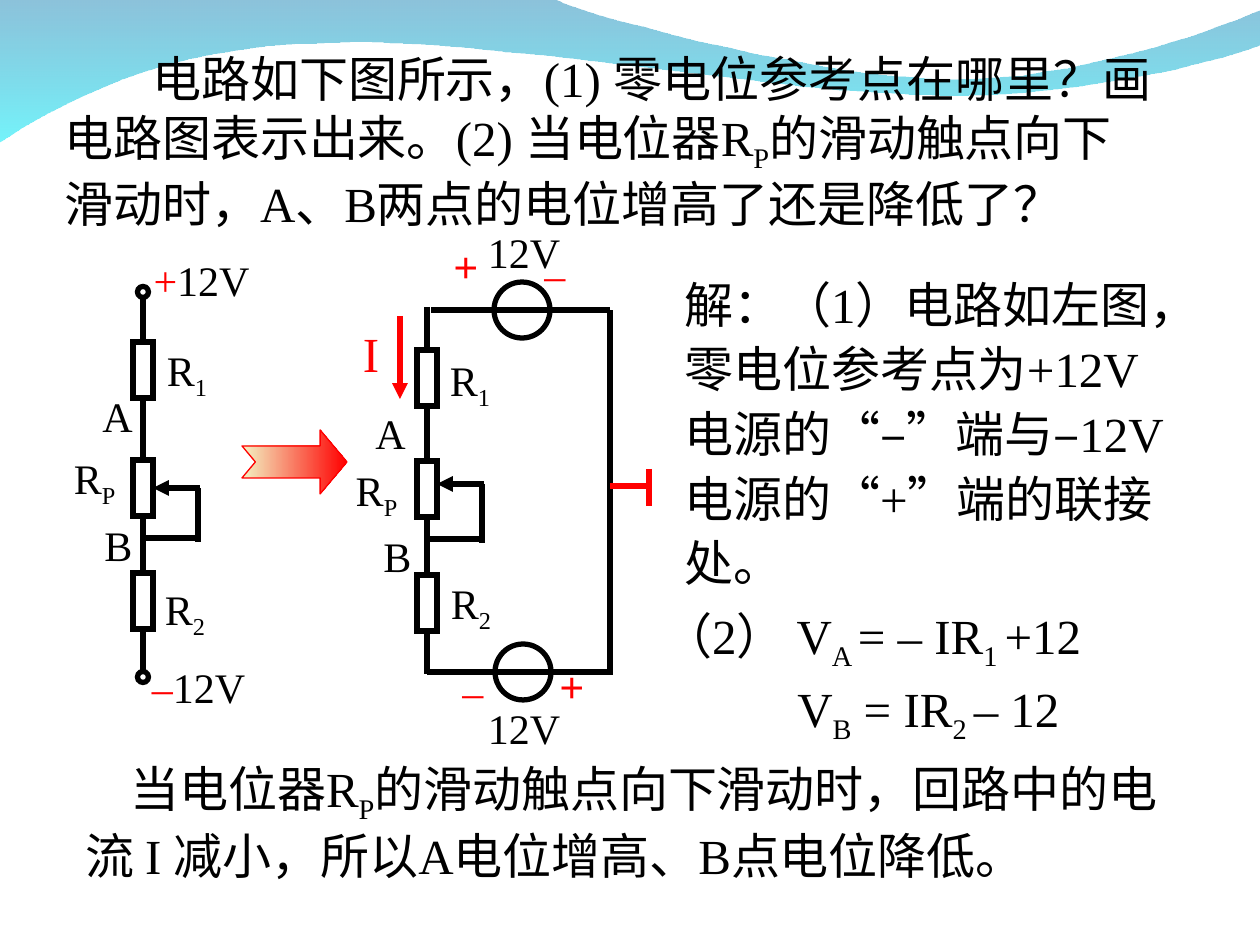
"""Build the slide on the potentiometer circuit and its zero-potential point."""
from lxml import etree
from pptx import Presentation
from pptx.dml.color import RGBColor
from pptx.enum.lang import MSO_LANGUAGE_ID
from pptx.enum.shapes import MSO_CONNECTOR, MSO_SHAPE
from pptx.enum.text import PP_ALIGN
from pptx.oxml.ns import qn
from pptx.util import Pt

PX = 914400 / 126
STRAIGHT = MSO_CONNECTOR.STRAIGHT
RECT, OVAL = MSO_SHAPE.RECTANGLE, MSO_SHAPE.OVAL
NOTCHED_ARROW = MSO_SHAPE.NOTCHED_RIGHT_ARROW
LEFT, CENTER = PP_ALIGN.LEFT, PP_ALIGN.CENTER
CHINESE = MSO_LANGUAGE_ID.SIMPLIFIED_CHINESE
SERIF, SANS = "Times New Roman", "Arial"
BLACK, RED = "000000", "FF0000"
TOP, BOTTOM, RIGHT = 0, 2, 3
SUB = "sub"

WAVE_START = (0, -1)
WAVE_UPPER = [(554, -1), (600, 21), (837, 79), (955, 79), (1075, 79), (1207, 33), (1260, 11)]
WAVE_LOWER = [(1261, 45), (1239, 55), (1096, 96), (940, 95), (784, 95), (481, 35), (325, 43),
              (163, 45), (58, 105), (-1, 142)]

# left, top, width, height, line spacing, points before, [(first-line indent, runs)]
PASSAGES = [
    (52, 42, 1113, 256, 1, 0, [
        (88, ["电路如下图所示，(1) 零电位参考点在哪里？画电路图表示出来。(2) 当电位器R", ("P", SUB),
              "的滑动触点向下滑动时，A、B两点的电位增高了还是降低了？"])]),
    (672, 262, 520, 336, 1.1, 0, [
        (0, ["解：（1）电路如左图，零电位参考点为+12V电源的“–”端与–12V电源的“+”端的联接处。"])]),
    (651, 599, 514, 152, 1, 3.5, [
        (0, ["（2） V", ("A ", SUB), "= – IR", ("1 ", SUB), "+12"]),
        (134, ["V", ("B", SUB), " = IR", ("2 ", SUB), "– 12"])]),
    (73, 752, 1134, 139, 1, 0, [
        (45, ["当电位器R", ("P", SUB), "的滑动触点向下滑动时，回路中的电流 I 减小，所以A电位增高、B点电位降低。"])]),
]

R1, R2, RP = (["R", (n, SUB)] for n in "12P")
PLUS, MINUS = [("+", RED)], [("–", RED)]
LABELS = [
    (["A"], 90, 384, 55), (["B"], 92, 513, 53), (RP, 61, 446, 67), (R1, 154, 338, 66), (R2, 152, 577, 66),
    (PLUS + ["12V"], 136, 248, 131), (MINUS + ["12V"], 133, 655, 131),
    (["A"], 363, 401, 55), (["B"], 371, 524, 53), (RP, 343, 458, 67), (R1, 437, 348, 66), (R2, 438, 571, 66),
    (["12V"], 420, 220, 208), (["12V"], 468, 696, 112),
    (MINUS, 532, 242, 46), (MINUS, 450, 659, 46),
]
SANS_LABELS = [(PLUS, 441, 234, 50), (PLUS, 547, 654, 50)]
CURRENT_LABEL = ([("I", RED)], 312, 317, 118)

CIRCUITS = [
    {"rail": 143, "ends": (296, 673), "resistors": (370, 488, 601), "wiper": 488, "foot": 538},
    {"rail": 427, "ends": (307, 674), "resistors": (378, 489, 603), "wiper": 484, "foot": 539},
]
RESISTOR_W, RESISTOR_H, WIPER_REACH = 20, 56, 55
CIRCLES = [(143, 292, 11), (143, 677, 11), (522, 310, 56), (523, 672, 56)]
LOOP = [((610, 310), (431, 310)), ((610, 673), (610, 310)), ((613, 672), (427, 672))]
GROUND = [((610, 486), (646, 486)), ((649, 469), (649, 506))]


def px(value):
    return round(value * PX)


def rgb(value):
    return RGBColor.from_string(value)


def gradient(shape, stops, angle):
    shape.shadow.inherit = False
    shape.fill.gradient()
    shape.fill.gradient_angle = angle
    for stop, (color, _) in zip(shape.fill.gradient_stops, stops):
        stop.color.rgb = rgb(color)
    for node, (_, alpha) in zip(shape.element.iter(qn("a:srgbClr")), stops):
        etree.SubElement(node, qn("a:alpha")).set("val", str(alpha * 1000))


def bezier(points, steps=16):
    curve = [points[0]]
    for i in range(0, len(points) - 1, 3):
        for t in (n / steps for n in range(1, steps + 1)):
            weights = ((1 - t) ** 3, 3 * t * (1 - t) ** 2, 3 * t * t * (1 - t), t ** 3)
            curve.append(tuple(sum(w * p[axis] for w, p in zip(weights, points[i:i + 4]))
                               for axis in (0, 1)))
    return curve


def write(paragraph, runs, size, font=SERIF):
    for item in runs:
        text, kind = item if isinstance(item, tuple) else (item, BLACK)
        run = paragraph.add_run()
        run.text = text
        run.font.size, run.font.name, run.font.language_id = Pt(size), font, CHINESE
        run.font.color.rgb = rgb(BLACK if kind == SUB else kind)
        if kind == SUB:
            run.font._element.set("baseline", "-25000")


def text_frame(slide, left, top, width, height, wrap):
    frame = slide.shapes.add_textbox(px(left), px(top), px(width), px(height)).text_frame
    frame.word_wrap = wrap
    return frame


def passage(slide, left, top, width, height, spacing, before, paragraphs):
    frame = text_frame(slide, left, top, width, height, True)
    for i, (indent, runs) in enumerate(paragraphs):
        paragraph = frame.add_paragraph() if i else frame.paragraphs[0]
        paragraph.alignment = LEFT
        paragraph.line_spacing, paragraph.space_before = spacing, Pt(before)
        paragraph._p.get_or_add_pPr().set("indent", str(px(indent)))
        write(paragraph, runs, 28)


def label(slide, runs, left, top, width, size=24, font=SERIF):
    height = 71 if size > 24 or runs[-1][1:] == (SUB,) else 63
    paragraph = text_frame(slide, left, top, width, height, False).paragraphs[0]
    paragraph.alignment = CENTER
    write(paragraph, runs, size, font)


def wire(slide, start, end, color=BLACK, arrow=False):
    line = slide.shapes.add_connector(STRAIGHT, *map(px, start + end))
    line.line.color.rgb, line.line.width = rgb(color), Pt(3)
    if arrow:
        etree.SubElement(line.line._get_or_add_ln(), qn("a:tailEnd")).set("type", "triangle")
    etree.SubElement(line.element.spPr, qn("a:effectLst"))
    return line


def outline(slide, kind, x, y, width, height):
    shape = slide.shapes.add_shape(kind, px(x - width / 2), px(y - height / 2), px(width), px(height))
    shape.shadow.inherit = False
    shape.fill.background()
    shape.line.color.rgb, shape.line.width = rgb(BLACK), Pt(3)
    etree.SubElement(shape.line._get_or_add_ln(), qn("a:miter")).set("lim", "800000")
    return shape


def circuit(slide, rail, ends, resistors, wiper, foot):
    boxes = [outline(slide, RECT, rail, y, RESISTOR_W, RESISTOR_H) for y in resistors]
    half = RESISTOR_H / 2
    starts = [ends[0]] + [y + half for y in resistors]
    stops = [y - half for y in resistors] + [ends[1]]
    for start, stop, above, below in zip(starts, stops, [None] + boxes, boxes + [None]):
        lead = wire(slide, (rail, start), (rail, stop))
        if above:
            lead.begin_connect(above, BOTTOM)
        if below:
            lead.end_connect(below, TOP)
    reach = rail + WIPER_REACH
    wire(slide, (rail, foot), (reach + 3, foot))
    wire(slide, (reach, foot + 4), (reach, wiper))
    contact = wire(slide, (reach + 2, wiper), (rail + RESISTOR_W / 2, wiper), arrow=True)
    if wiper == resistors[1]:
        contact.end_connect(boxes[1], RIGHT)


def main():
    deck = Presentation()
    deck.slide_width, deck.slide_height = px(1260), px(945)
    slide = deck.slides.add_slide(deck.slide_layouts[6])

    builder = slide.shapes.build_freeform(*WAVE_START, scale=PX)
    builder.add_line_segments(bezier(WAVE_UPPER) + bezier(WAVE_LOWER), close=True)
    wave = builder.convert_to_shape()
    gradient(wave, [("0079AF", 45), ("00EBF8", 55)], 270)
    wave.line.fill.background()

    for item in PASSAGES:
        passage(slide, *item)

    becomes = slide.shapes.add_shape(NOTCHED_ARROW, px(242), px(430), px(105), px(64))
    becomes.adjustments[0], becomes.adjustments[1] = 0.5, 0.42
    gradient(becomes, [("F3F4C4", 100), (RED, 100)], 0)
    becomes.line.color.rgb, becomes.line.width = rgb(RED), Pt(0.75)

    for parts in CIRCUITS:
        circuit(slide, **parts)
    for x, y, size in CIRCLES:
        outline(slide, OVAL, x, y, size, size)
    for start, end in LOOP:
        wire(slide, start, end)
    for start, end in GROUND:
        wire(slide, start, end, RED)
    wire(slide, (400, 316), (400, 399), RED, arrow=True)

    for item in LABELS:
        label(slide, *item)
    for item in SANS_LABELS:
        label(slide, *item, font=SANS)
    label(slide, *CURRENT_LABEL, size=28)
    deck.save("out.pptx")


if __name__ == "__main__":
    main()
